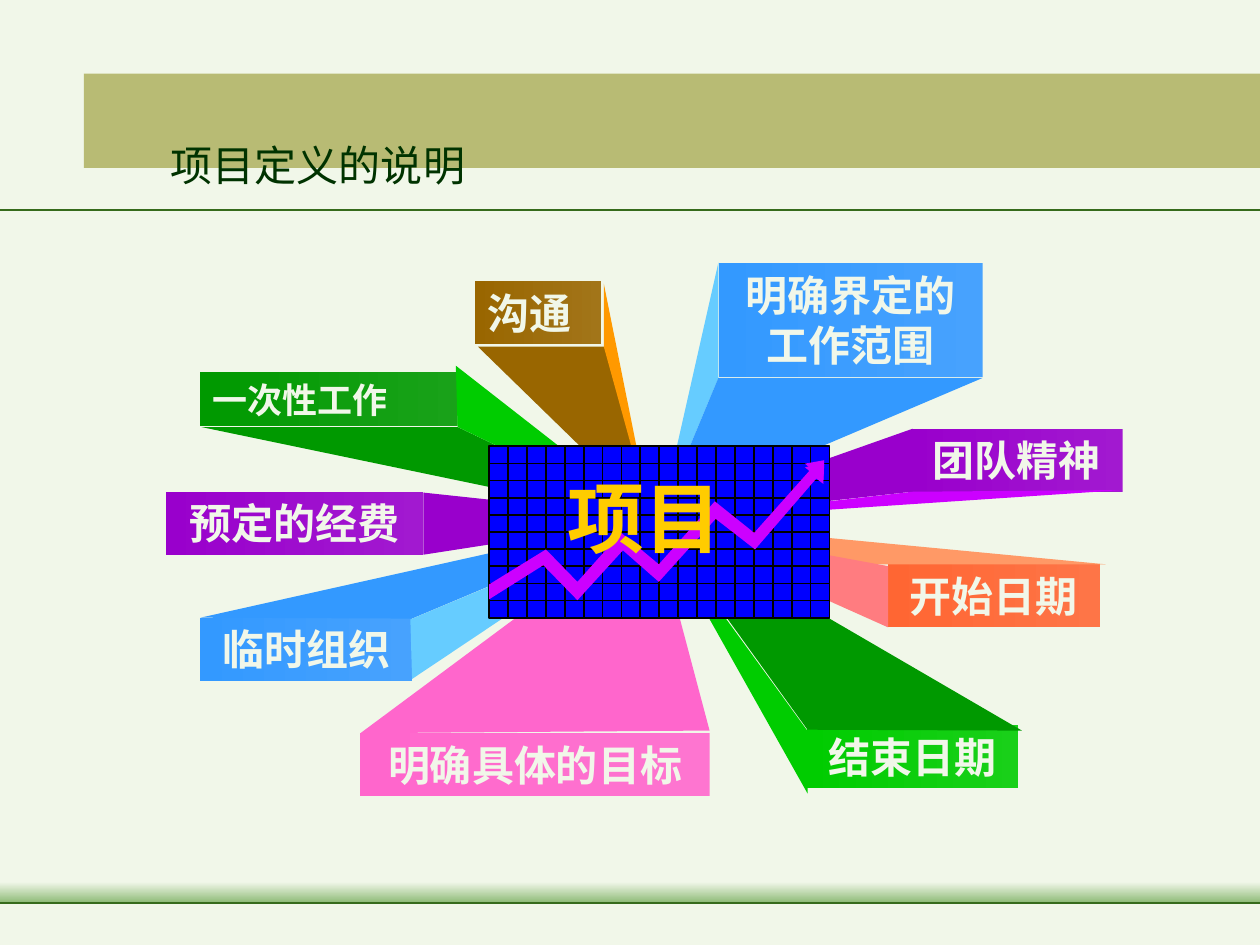
from lxml.etree import SubElement
from pptx import Presentation
from pptx.dml.color import RGBColor
from pptx.enum.shapes import MSO_CONNECTOR, MSO_SHAPE
from pptx.enum.text import MSO_ANCHOR, MSO_AUTO_SIZE, PP_ALIGN
from pptx.oxml.ns import qn
from pptx.util import Pt

COLORS = {
    "paper": "F1F7E9", "rule": "366B1B", "mist": "8DBA76", "band": "808000",
    "title": "003300", "brown": "996600", "brown_light": "A27519",
    "amber": "FF9900", "blue": "3399FF", "blue_light": "47A2FE",
    "sky": "66CCFF", "purple": "9900CC", "purple_light": "A219D0",
    "magenta": "CC00FF", "green": "009900", "green_light": "19A219",
    "lime": "00CC00", "lime_light": "19D019", "pink": "FF66CC",
    "pink_light": "FE75D0", "orange": "FF6633", "orange_light": "FE7547",
    "peach": "FF9966", "coral": "FF7C80", "board": "0000FF",
    "grid": "000000", "gold": "FFCC00",
}

# Labels: text, colour, size, alignment, box measured from the fan's centre
LABELS = [
    ("沟通", "brown", 24, PP_ALIGN.LEFT, (-101.5, -135.5, 72, 36)),
    ("明确界定的\n工作范围", "blue", 24, PP_ALIGN.CENTER, (38, -145.5, 150.5, 65)),
    ("预定的经费", "purple", 24, PP_ALIGN.CENTER, (-278, -15, 147, 36)),
    ("一次性工作", "green", 20, PP_ALIGN.LEFT, (-258.5, -83.5, 147, 31)),
    ("临时组织", "blue", 24, PP_ALIGN.CENTER, (-258.5, 57, 121, 36)),
    ("明确具体的目标", "pink", 24, PP_ALIGN.CENTER, (-167, 123, 199.5, 36)),
    ("团队精神", "purple", 24, PP_ALIGN.CENTER, (147.5, -51, 121, 36)),
    ("开始日期", "orange", 24, PP_ALIGN.CENTER, (134.5, 26.5, 121, 36)),
    ("结束日期", "lime", 24, PP_ALIGN.CENTER, (88, 118.5, 121, 36)),
]

# Triangles running from the labels to the fan's centre
FACETS = [
    ("brown", [(-100, -98), (-24.5, -98), (-1.5, -2)]),
    ("amber", [(-28, -134), (-28, -98), (-1.5, -2)]),
    ("sky", [(37.5, -146), (37.5, -80), (5, -2)]),
    ("blue", [(37.5, -80), (5, -2), (188.5, -80)]),
    ("purple", [(148.5, -51), (148.5, -15), (0, 1.5)]),
    ("magenta", [(268.5, -16), (0, 2), (148.5, -15)]),
    ("peach", [(1.5, 2), (259, 26.5), (103.5, 26.5)]),
    ("coral", [(1.5, 3), (134.5, 27.5), (134.5, 62.5)]),
    ("green", [(-258, -52), (-111.5, -52), (1.5, 2)]),
    ("lime", [(-112.5, -87), (1.5, 2), (-111.5, -52)]),
    ("purple", [(-131, -14.5), (4.5, 0), (-131, 21)]),
    ("blue", [(-258.5, 57), (1.5, -1), (-137.5, 57.5)]),
    ("sky", [(0, 0), (-138.5, 58), (-137.5, 92)]),
    ("pink", [(-167, 123), (0, -1), (32.5, 121.5)]),
    ("lime", [(0, 0), (88.5, 157.5), (89, 122.5)]),
    ("green", [(0.5, -1), (211, 121.5), (88.5, 121)]),
]

# Trend arrow, measured from the board's corner
TREND = [
    (0, 79), (32.5, 59), (50.5, 77.5), (75.5, 49.5), (97, 67.5), (129, 31.5),
    (151.5, 49.5), (184, 13), (180.5, 10), (191.5, 8), (191, 19.5),
    (187, 16.5), (152, 57), (129.5, 39.5), (97, 75.5), (76.5, 57.5),
    (50.5, 86), (31, 66), (0, 85.5),
]


def rgb(name):
    return RGBColor.from_string(COLORS[name])


def pts(values):
    return [Pt(v) for v in values]


def paint(sp, color):
    sp.shadow.inherit = False
    sp.fill.solid()
    sp.fill.fore_color.rgb = rgb(color)
    sp.line.fill.background()


def paint_gradient(sp, first, last, angle):
    paint(sp, last)
    sp.fill.gradient()
    sp.fill.gradient_angle = angle
    for stop, color in zip(sp.fill.gradient_stops, (first, last)):
        stop.color.rgb = rgb(color)


def add_rect(s, box):
    return s.shapes.add_shape(MSO_SHAPE.RECTANGLE, *pts(box))


def add_line(s, start, end, color, width):
    line = s.shapes.add_connector(MSO_CONNECTOR.STRAIGHT, *pts(start + end))
    line.line.color.rgb = rgb(color)
    line.line.width = Pt(width)
    SubElement(line._element.spPr, qn("a:effectLst"))
    return line


def add_polygon(s, x, y, points, color):
    start, *rest = [(Pt(x + dx), Pt(y + dy)) for dx, dy in points]
    builder = s.shapes.build_freeform(*start)
    builder.add_line_segments(rest)
    paint(builder.convert_to_shape(), color)


def write(tf, text, align, color, **font):
    tf.text = text
    for p in tf.paragraphs:
        p.alignment = align
        p.font.color.rgb = rgb(color)
        for name, value in font.items():
            setattr(p.font, name, value)


def add_frame(s, box):
    x, y, w, h = box
    add_line(s, (x, y + 120), (x + w, y + 120), "rule", 1.5)
    footer = add_rect(s, (x, y + h - 36, w, 12))
    paint_gradient(footer, "paper", "mist", 270)
    add_line(s, (x, y + h - 24), (x + w, y + h - 24), "rule", 1.5)
    band = add_rect(s, (x + 48, y + 42, w - 48, 54))
    paint(band, "band")
    fill = band._element.spPr.find(qn("a:solidFill"))
    SubElement(fill[0], qn("a:alpha"), val="50000")


def add_title(s, box):
    title = s.shapes.title
    title.left, title.top, title.width, title.height = pts(box)
    # Bring the title in front of the band
    title._element.getparent().append(title._element)
    tf = title.text_frame
    tf.auto_size = MSO_AUTO_SIZE.NONE
    tf.vertical_anchor = MSO_ANCHOR.MIDDLE
    write(tf, "项目定义的说明", PP_ALIGN.LEFT, "title",
          name="Times New Roman", size=Pt(24))


def add_label(s, box, text, color, size, align):
    sp = add_rect(s, box)
    paint_gradient(sp, f"{color}_light", color, 180)
    tf = sp.text_frame
    tf.word_wrap = True
    tf.auto_size = MSO_AUTO_SIZE.SHAPE_TO_FIT_TEXT
    tf.vertical_anchor = MSO_ANCHOR.TOP
    write(tf, text, align, "paper",
          name="Times New Roman", size=Pt(size), bold=True)


def add_fan(s, box):
    x, y, w, h = box
    cx, cy = x + w / 2, y + h / 2
    for text, color, size, align, (dx, dy, lw, lh) in LABELS:
        add_label(s, (cx + dx, cy + dy, lw, lh), text, color, size, align)
    for color, points in FACETS:
        add_polygon(s, cx, cy, points, color)


def add_board(s, box, columns=18, rows=10):
    x, y, w, h = box
    board = add_rect(s, box)
    paint(board, "board")
    board.line.color.rgb = rgb("grid")
    board.line.width = Pt(1)

    # Grid, its middle lines joined to the board
    for i in range(1, columns):
        gx = x + w * i / columns
        line = add_line(s, (gx, y), (gx, y + h), "grid", 1)
        if 2 * i == columns:
            line.begin_connect(board, 0)
            line.end_connect(board, 2)
    for i in range(1, rows):
        gy = y + h * i / rows
        line = add_line(s, (x, gy), (x + w, gy), "grid", 1)
        if 2 * i == rows:
            line.begin_connect(board, 1)
            line.end_connect(board, 3)

    # Doubled trend arrow and the heading over it
    for drop in (2, 0):
        add_polygon(s, x, y + drop, TREND, "magenta")
    tf = s.shapes.add_textbox(*pts((x + 38, y + 10.5, 103, 60))).text_frame
    tf.word_wrap = False
    tf.auto_size = MSO_AUTO_SIZE.SHAPE_TO_FIT_TEXT
    write(tf, "项目", PP_ALIGN.LEFT, "gold",
          name="Noto Sans CJK SC", size=Pt(44), bold=True)


def main():
    prs = Presentation()
    prs.slide_width, prs.slide_height = Pt(720), Pt(540)
    s = prs.slides.add_slide(prs.slide_layouts[5])
    s.background.fill.solid()
    s.background.fill.fore_color.rgb = rgb("paper")
    add_frame(s, (0, 0, 720, 540))
    add_title(s, (90.5, 49, 613.5, 90))
    add_fan(s, (95, 137, 556, 318))
    add_board(s, (279.5, 255, 194.5, 98))
    prs.save("out.pptx")


if __name__ == "__main__":
    main()
